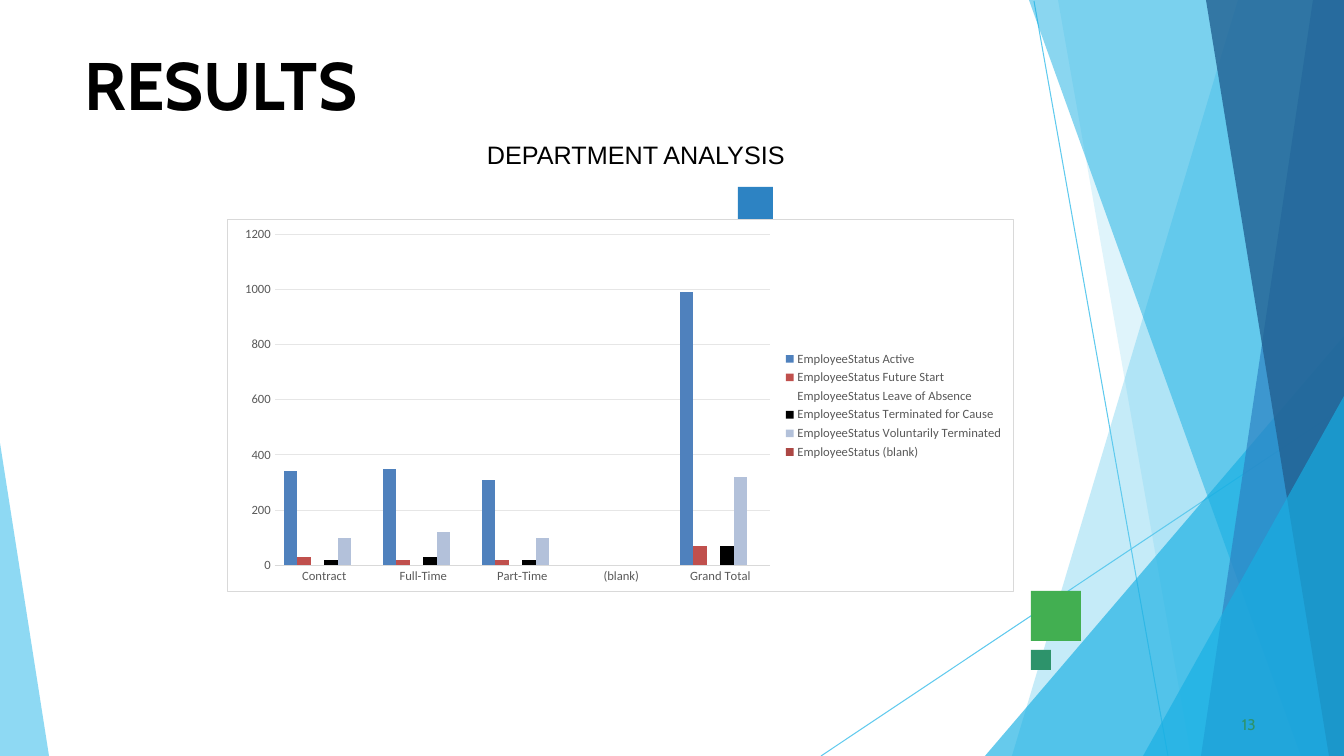
from lxml.etree import SubElement
from pptx import Presentation
from pptx.chart.data import CategoryChartData
from pptx.dml.color import RGBColor
from pptx.enum.chart import XL_CHART_TYPE, XL_LEGEND_POSITION, XL_TICK_MARK
from pptx.enum.shapes import MSO_CONNECTOR, MSO_SHAPE
from pptx.oxml import parse_xml
from pptx.oxml.ns import nsdecls, qn
from pptx.util import Emu, Pt

PX = 914400 / 100.8
W, H = 1344, 756

RAYS = [((1034, 1), (1168, 756)), ((1344, 407), (821, 756))]
SHARDS = [
    ("5FCAEE", 36, [(1344, 0), (1238, 0), (1012, 756), (1344, 756)]),
    ("5FCAEE", 20, [(1344, 0), (1058, 0), (1191, 756), (1344, 756)]),
    ("17AFE3", 66, [(1344, 336), (985, 756), (1344, 756)]),
    ("17AFE3", 50, [(1344, 0), (1029, 0), (1301, 756), (1344, 756)]),
    ("2D83C3", 70, [(1344, 0), (1313, 0), (1201, 756), (1344, 756)]),
    ("226192", 80, [(1344, 0), (1206, 0), (1329, 756), (1344, 756)]),
    ("17AFE3", 66, [(1344, 396), (1143, 756), (1344, 756)]),
    ("5FCAEE", 70, [(0, 443), (0, 756), (49, 756)]),
]
SQUARES = [("42AF51", 1031, 591, 50), ("2D83C3", 738, 187, 35), ("2D936B", 1031, 650, 20)]

CATEGORIES = ["Contract", "Full-Time", "Part-Time", "(blank)", "Grand Total"]
SERIES = [
    ("Active", "4F81BD", [340, 350, 310, None, 990]),
    ("Future Start", "C0504D", [30, 20, 20, None, 70]),
    ("Leave of Absence", "FFFFFF", [30, 20, 40, None, 90]),
    ("Terminated for Cause", "000000", [20, 30, 20, None, 70]),
    ("Voluntarily Terminated", "B3C1DA", [100, 120, 100, None, 320]),
    ("(blank)", "AC4744", [None] * 5),
]


def px(n):
    """Turn pixels into EMU."""
    return Emu(round(n * PX))


def rgb(color):
    """Turn a hex string into a colour."""
    return RGBColor.from_string(color)


def paint(sp, color, alpha=100):
    """Fill a shape flat, without line or shadow."""
    sp.shadow.inherit = False
    sp.line.fill.background()
    sp.fill.solid()
    sp.fill.fore_color.rgb = rgb(color)
    if alpha < 100:
        fill = sp.element.spPr.find(qn("a:solidFill"))
        SubElement(fill[0], qn("a:alpha"), val=str(alpha * 1000))


def style_font(font, size, color, name):
    """Set size, colour and typeface of a font."""
    font.size, font.name = Pt(size), name
    font.color.rgb = rgb(color)


def add_backdrop(s, box):
    """Draw the rays and the translucent shards inside the box."""
    x, y, w, h = box
    kx, ky = w / W, h / H

    def place(point):
        """Map a point of the backdrop into the box."""
        return x + point[0] * kx, y + point[1] * ky

    for start, end in RAYS:
        ray = s.shapes.add_connector(
            MSO_CONNECTOR.STRAIGHT, *(px(n) for n in place(start) + place(end)))
        ray.line.color.rgb = rgb("5FCAEE")
        ray.line.width = Pt(0.75)
        SubElement(ray.element.spPr, qn("a:effectLst"))
    for color, alpha, points in SHARDS:
        first, *rest = [place(p) for p in points]
        builder = s.shapes.build_freeform(*first, scale=PX)
        builder.add_line_segments(rest, close=True)
        paint(builder.convert_to_shape(), color, alpha)


def add_squares(s, box):
    """Draw the small accent squares inside the box."""
    for color, x, y, side in SQUARES:
        sp = s.shapes.add_shape(
            MSO_SHAPE.RECTANGLE, px(box[0] + x), px(box[1] + y), px(side), px(side))
        paint(sp, color)


def add_text(s, box, text, size, color, font, bold=False, inset=(0, 1, 0, 0), before=0):
    """Write one line of text in the box."""
    tf = s.shapes.add_textbox(*(px(n) for n in box)).text_frame
    tf.word_wrap = True
    tf.margin_left, tf.margin_top, tf.margin_right, tf.margin_bottom = (px(n) for n in inset)
    p = tf.paragraphs[0]
    p.space_before = Pt(before)
    r = p.add_run()
    r.text = text
    style_font(r.font, size, color, font)
    r.font.bold = bold


def frame_chart(chart):
    """Give the chart a white ground, a thin border and a fixed plot area."""
    space = chart.element
    space.find(qn("c:chart")).addnext(parse_xml(
        f'<c:spPr {nsdecls("c", "a")}><a:solidFill><a:srgbClr val="FFFFFF"/></a:solidFill>'
        '<a:ln w="9525"><a:solidFill><a:srgbClr val="D9D9D9"/></a:solidFill></a:ln></c:spPr>'))
    plot_area = space.find(qn("c:chart")).find(qn("c:plotArea"))
    old = plot_area.find(qn("c:layout"))
    if old is not None:
        plot_area.remove(old)
    layout = SubElement(plot_area, qn("c:layout"))
    plot_area.insert(0, layout)
    manual = SubElement(layout, qn("c:manualLayout"))
    for tag, val in [("layoutTarget", "inner"), ("xMode", "edge"), ("yMode", "edge"),
                     ("x", "0.06"), ("y", "0.04"), ("w", "0.63"), ("h", "0.89")]:
        SubElement(manual, qn(f"c:{tag}"), val=val)


def add_status_chart(s, box):
    """Add the clustered columns of employee status by contract type."""
    data = CategoryChartData()
    data.categories = CATEGORIES
    for status, _, values in SERIES:
        data.add_series(f"EmployeeStatus {status}", values)
    chart = s.shapes.add_chart(
        XL_CHART_TYPE.COLUMN_CLUSTERED, *(px(n) for n in box), data).chart
    style_font(chart.font, 10, "000000", "Calibri")
    chart.has_title = False
    chart.has_legend = True
    chart.legend.position = XL_LEGEND_POSITION.RIGHT
    chart.legend.include_in_layout = False
    plot = chart.plots[0]
    plot.gap_width, plot.overlap, plot.vary_by_categories = 140, 0, False
    for series, (_, color, _) in zip(plot.series, SERIES):
        series.invert_if_negative = False
        series.format.fill.solid()
        series.format.fill.fore_color.rgb = rgb(color)
    cat, val = chart.category_axis, chart.value_axis
    for axis in (cat, val):
        axis.major_tick_mark = axis.minor_tick_mark = XL_TICK_MARK.NONE
    for part in (cat.tick_labels, val.tick_labels, chart.legend):
        style_font(part.font, 9, "595959", "Calibri")
    val.minimum_scale, val.maximum_scale, val.major_unit = 0, 1200, 200
    val.format.line.fill.background()
    for line, color in ((cat.format.line, "D9D9D9"),
                        (val.major_gridlines.format.line, "E6E6E6")):
        line.color.rgb = rgb(color)
        line.width = Pt(0.75)
    frame_chart(chart)


def add_results_slide(prs, box):
    """Build the results slide inside the box."""
    x, y, w, h = box
    s = prs.slides.add_slide(prs.slide_layouts[6])
    add_backdrop(s, box)
    add_squares(s, box)
    add_text(s, (x + 84, y + 42, 328, 95), "RESULTS", 48, "000000", "Cabin",
             bold=True, before=1)
    add_text(s, (x + w - 102, y + h - 42, 26, 21), "13", 11, "2D936B", "Cabin", before=0.5)
    add_text(s, (x + 477, y + 134, 344, 45), "DEPARTMENT ANALYSIS", 18, "000000", "Arial",
             inset=(10, 5, 10, 5))
    add_status_chart(s, (x + 227, y + 219, 787, 373))


def main():
    """Create the presentation and save it."""
    prs = Presentation()
    prs.slide_width, prs.slide_height = px(W), px(H)
    add_results_slide(prs, (0, 0, W, H))
    prs.save("out.pptx")


if __name__ == "__main__":
    main()
